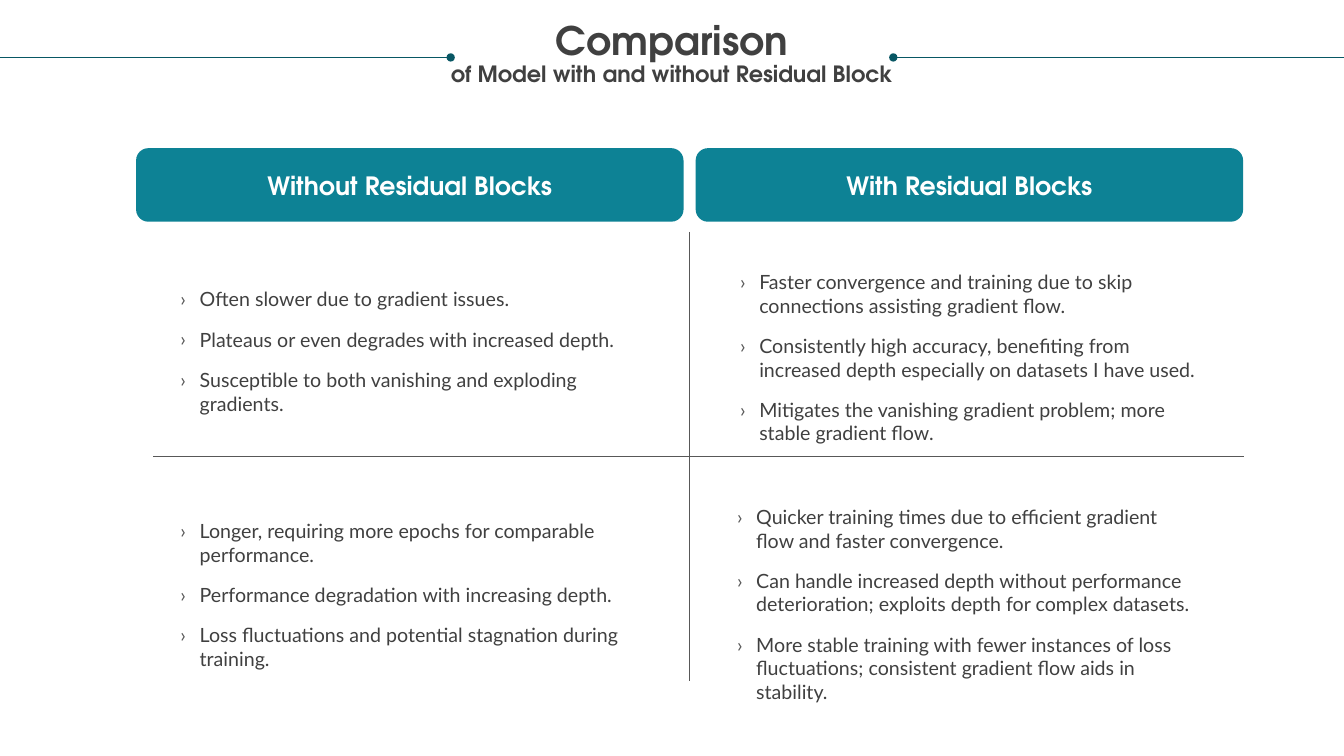
from dataclasses import dataclass
from typing import Any

from lxml import etree
from pptx import Presentation
from pptx.dml.color import RGBColor
from pptx.enum.shapes import MSO_CONNECTOR, MSO_SHAPE
from pptx.enum.text import MSO_ANCHOR, MSO_AUTO_SIZE, PP_ALIGN
from pptx.oxml.ns import qn
from pptx.util import Inches, Pt

STRAIGHT = MSO_CONNECTOR.STRAIGHT
ROUNDED = MSO_SHAPE.ROUNDED_RECTANGLE
TOP, MIDDLE = MSO_ANCHOR.TOP, MSO_ANCHOR.MIDDLE
NO_AUTOSIZE = MSO_AUTO_SIZE.NONE
CENTER, LEFT = PP_ALIGN.CENTER, PP_ALIGN.LEFT
COMPARISON_LAYOUT = 4
HEADING_FONT, BODY_FONT = "TeX Gyre Adventor", "Lato"
INK, GRAY, TEAL, DARK_TEAL, WHITE = "404040", "585858", "0D8295", "085764", "FFFFFF"
PAGE_WIDTH, PAGE_HEIGHT = 13.33, 7.5
RULE_Y = 0.57
BULLET_INDENT = 0.19


@dataclass
class Rule:
    start: tuple[float, float]
    end: tuple[float, float]
    color: str
    dot: str = ""


@dataclass
class Header:
    text: str
    left: float


@dataclass
class Points:
    placeholder: int
    left: float
    top: float
    height: float
    items: list[str]


RULES = [
    Rule((8.86, RULE_Y), (PAGE_WIDTH, RULE_Y), DARK_TEAL, "a:headEnd"),
    Rule((0, RULE_Y), (4.47, RULE_Y), DARK_TEAL, "a:tailEnd"),
    Rule((1.52, 4.53), (12.34, 4.53), GRAY),
    Rule((6.84, 2.3), (6.84, 6.76), GRAY),
]
HEADERS = [
    Header("Without Residual Blocks", 1.35),
    Header("With Residual Blocks", 6.9),
]
QUADRANTS = [
    Points(1, 1.79, 2.85, 1.28, [
        "Often slower due to gradient issues.",
        "Plateaus or even degrades with increased depth.",
        "Susceptible to both vanishing and exploding gradients.",
    ]),
    Points(2, 7.34, 2.68, 1.75, [
        "Faster convergence and training due to skip connections assisting gradient flow.",
        "Consistently high accuracy, benefiting from increased depth especially on datasets I have used.",
        "Mitigates the vanishing gradient problem; more stable gradient flow.",
    ]),
    Points(3, 1.79, 5.15, 1.51, [
        "Longer, requiring more epochs for comparable performance.",
        "Performance degradation with increasing depth.",
        "Loss fluctuations and potential stagnation during training.",
    ]),
    Points(4, 7.31, 5.01, 1.75, [
        "Quicker training times due to efficient gradient flow and faster convergence.",
        "Can handle increased depth without performance deterioration; exploits depth for complex datasets.",
        "More stable training with fewer instances of loss fluctuations; consistent gradient flow aids in stability.",
    ]),
]


def rgb(color: str) -> RGBColor:
    return RGBColor.from_string(color)


def add_bullet(para: Any) -> None:
    properties = para._p.get_or_add_pPr()
    properties.set("marL", str(Inches(BULLET_INDENT)))
    properties.set("indent", str(-Inches(BULLET_INDENT)))
    bullet_color = etree.SubElement(properties, qn("a:buClr"))
    etree.SubElement(bullet_color, qn("a:srgbClr"), val=GRAY)
    etree.SubElement(properties, qn("a:buFont"), typeface=BODY_FONT)
    etree.SubElement(properties, qn("a:buChar"), char="›")


def write_text(frame: Any, text: str, *, size: float, font: str = HEADING_FONT,
               color: str = INK, bold: bool = True, align: PP_ALIGN = CENTER,
               line_spacing: float = 1.0, before: float = 0,
               bullet: bool = False) -> None:
    para = frame.add_paragraph() if frame.text else frame.paragraphs[0]
    para.alignment = align
    para.line_spacing = line_spacing
    para.space_before = Pt(before)
    if bullet:
        add_bullet(para)
    span = para.add_run()
    span.text = text
    span.font.name = font
    span.font.size = Pt(size)
    span.font.bold = bold
    span.font.color.rgb = rgb(color)


def place_box(box: Any, left: float, top: float, width: float, height: float) -> Any:
    box.left, box.top = Inches(left), Inches(top)
    box.width, box.height = Inches(width), Inches(height)
    frame = box.text_frame
    frame.margin_left = frame.margin_right = frame.margin_top = frame.margin_bottom = 0
    frame.vertical_anchor = TOP
    frame.auto_size = NO_AUTOSIZE
    frame.word_wrap = True
    return frame


def draw_rule(page: Any, rule: Rule) -> None:
    connector = page.shapes.add_connector(
        STRAIGHT, *(Inches(value) for value in rule.start + rule.end))
    connector.line.color.rgb = rgb(rule.color)
    connector.line.width = Pt(0.5)
    properties = connector.element.spPr
    if rule.dot:
        etree.SubElement(properties.find(qn("a:ln")), qn(rule.dot), type="oval")
    etree.SubElement(properties, qn("a:effectLst"))


def draw_header(page: Any, header: Header) -> None:
    box = page.shapes.add_shape(
        ROUNDED, Inches(header.left), Inches(1.47), Inches(5.43), Inches(0.73))
    box.shadow.inherit = False
    box.fill.solid()
    box.fill.fore_color.rgb = rgb(TEAL)
    box.line.fill.background()
    box.text_frame.vertical_anchor = MIDDLE
    write_text(box.text_frame, header.text, size=18, color=WHITE)


def draw_points(page: Any, points: Points) -> None:
    box = page.placeholders[points.placeholder]
    frame = place_box(box, points.left, points.top, 4.55, points.height)
    for item in points.items:
        write_text(frame, item, size=14, font=BODY_FONT, bold=False,
                   align=LEFT, before=12, bullet=True)


def main() -> None:
    deck = Presentation()
    deck.slide_width, deck.slide_height = Inches(PAGE_WIDTH), Inches(PAGE_HEIGHT)
    page = deck.slides.add_slide(deck.slide_layouts[COMPARISON_LAYOUT])
    title = place_box(page.shapes.title, 0.25, 0.21, 12.83, 0.97)
    write_text(title, "Comparison", size=28, line_spacing=0.9)
    write_text(title, "of Model with and without Residual Block", size=16, line_spacing=0.9)
    for rule in RULES:
        draw_rule(page, rule)
    for header in HEADERS:
        draw_header(page, header)
    for points in QUADRANTS:
        draw_points(page, points)
    deck.save("out.pptx")


if __name__ == "__main__":
    main()
